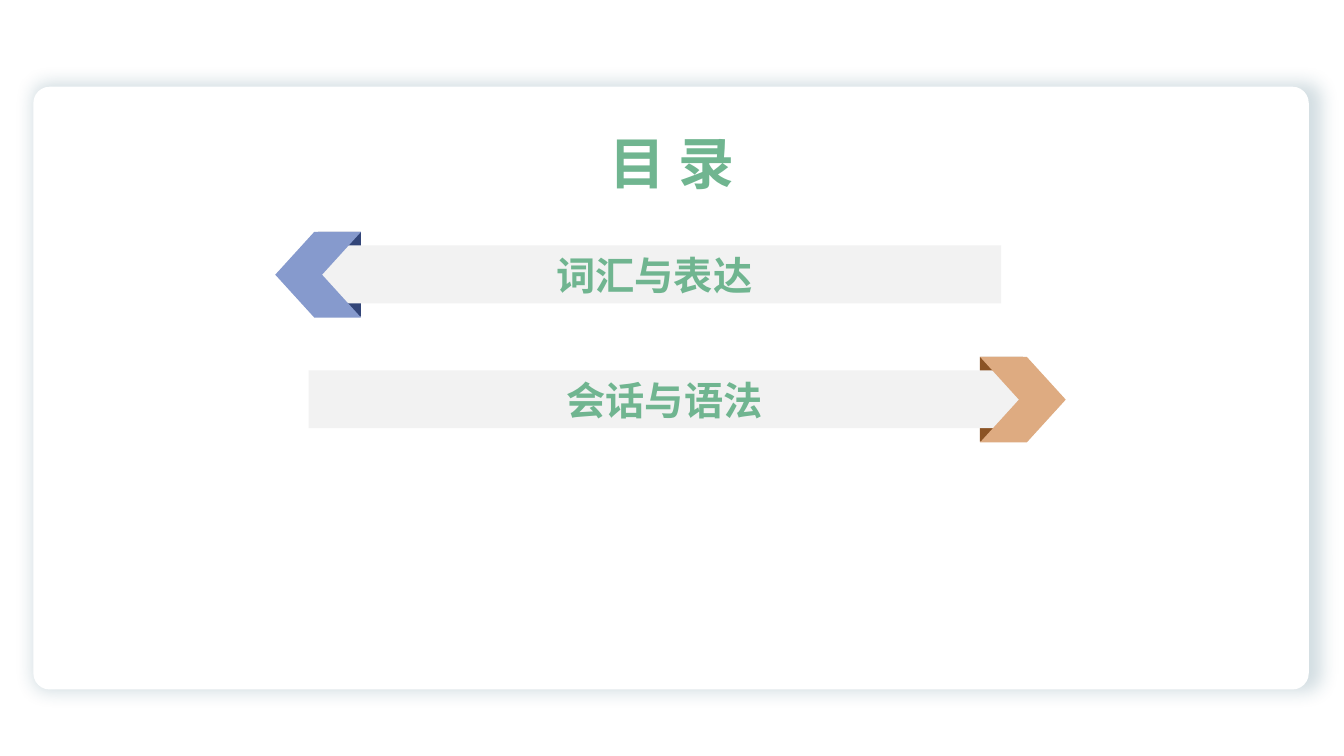
import pptx
import pptx.dml.color
import pptx.enum.shapes
import pptx.enum.text
import pptx.oxml
import pptx.oxml.ns
import pptx.util

FONT = "Noto Sans CJK SC"
HUES = {
    "white": "FFFFFF", "green": "70B590", "grey": "F2F2F2", "shade": "20576E",
    "blue": "869ACD", "navy": "324578", "tan": "DEAB81", "brown": "8B5324",
}
KINDS = pptx.enum.shapes.MSO_SHAPE
MIDDLE = pptx.enum.text.MSO_ANCHOR.MIDDLE
CENTER = pptx.enum.text.PP_ALIGN.CENTER


def hue(name):
    return pptx.dml.color.RGBColor.from_string(HUES[name])


class Deck:
    """Places elements by percent of the slide's width and height."""

    def __init__(self):
        self.show = pptx.Presentation()
        self.show.slide_width = pptx.util.Inches(13.33)
        self.show.slide_height = pptx.util.Inches(7.5)
        self.slide = self.show.slides.add_slide(self.show.slide_layouts[5])

    def box(self, left, top, width, height):
        wide, high = self.show.slide_width / 100, self.show.slide_height / 100
        return [int(n) for n in (left * wide, top * high, width * wide, height * high)]

    def shape(self, home, kind, place, fill):
        item = home.add_shape(kind, *self.box(*place))
        item.shadow.inherit = False
        item.fill.solid()
        item.fill.fore_color.rgb = hue(fill)
        item.line.fill.background()
        return item

    def label(self, item, words, size):
        frame = item.text_frame
        frame.word_wrap = True
        frame.vertical_anchor = MIDDLE
        line = frame.paragraphs[0]
        line.alignment = CENTER
        run = line.add_run()
        run.text = words
        font = run.font
        font.name, font.size, font.bold = FONT, pptx.util.Pt(size), True
        font.color.rgb = hue("green")
        east = pptx.oxml.parse_xml(
            f'<a:ea {pptx.oxml.ns.nsdecls("a")} typeface="{FONT}"/>')
        run._r.get_or_add_rPr().find(pptx.oxml.ns.qn("a:latin")).addnext(east)

    def panel(self, place):
        """Rounded white card with a soft shadow."""
        card = self.shape(self.slide.shapes, KINDS.ROUNDED_RECTANGLE, place, "white")
        card.adjustments[0] = 0.027
        glow = card._element.spPr.find(pptx.oxml.ns.qn("a:effectLst"))
        glow.append(pptx.oxml.parse_xml(
            f'<a:outerShdw {pptx.oxml.ns.nsdecls("a")} blurRad="152400" dist="0" '
            'dir="2700000" sx="101000" sy="101000" algn="l" rotWithShape="0">'
            f'<a:srgbClr val="{HUES["shade"]}"><a:alpha val="20000"/></a:srgbClr>'
            '</a:outerShdw>'))

    def title(self, words, place):
        head = self.slide.shapes.title
        head.left, head.top, head.width, head.height = self.box(*place)
        head.text_frame.auto_size = pptx.enum.text.MSO_AUTO_SIZE.NONE
        self.label(head, words, 40)
        self.slide.shapes._spTree.append(head._element)

    def ribbon(self, words, top, bar, tip, back, front, left=False):
        """Bar with a folded chevron at one end; bar is (left, width)."""
        wide, high = 6.38, 11.33
        home = self.slide.shapes.add_group_shape().shapes
        fold = tip + wide / 2 if left else tip
        self.shape(home, KINDS.RECTANGLE, (fold, top, wide / 2, high - 0.1), back)
        strip = self.shape(home, KINDS.RECTANGLE,
                           (bar[0], top + 1.8, bar[1], 7.65), "grey")
        self.label(strip, words, 28)
        arrow = self.shape(home, KINDS.CHEVRON, (tip, top, wide, high), front)
        arrow.adjustments[0] = 0.455
        arrow.rotation = 180 if left else 0


def main():
    deck = Deck()
    deck.panel((2.48, 11.47, 94.9, 79.73))
    deck.ribbon("会话与语法", 47.2, (22.96, 52.96), 72.92, "brown", "tan")
    deck.title("目 录", (41.71, 16.27, 16.58, 10.27))
    deck.ribbon("词汇与表达", 30.67, (22.88, 51.61), 20.48, "navy", "blue", left=True)
    deck.show.save("out.pptx")


if __name__ == "__main__":
    main()
